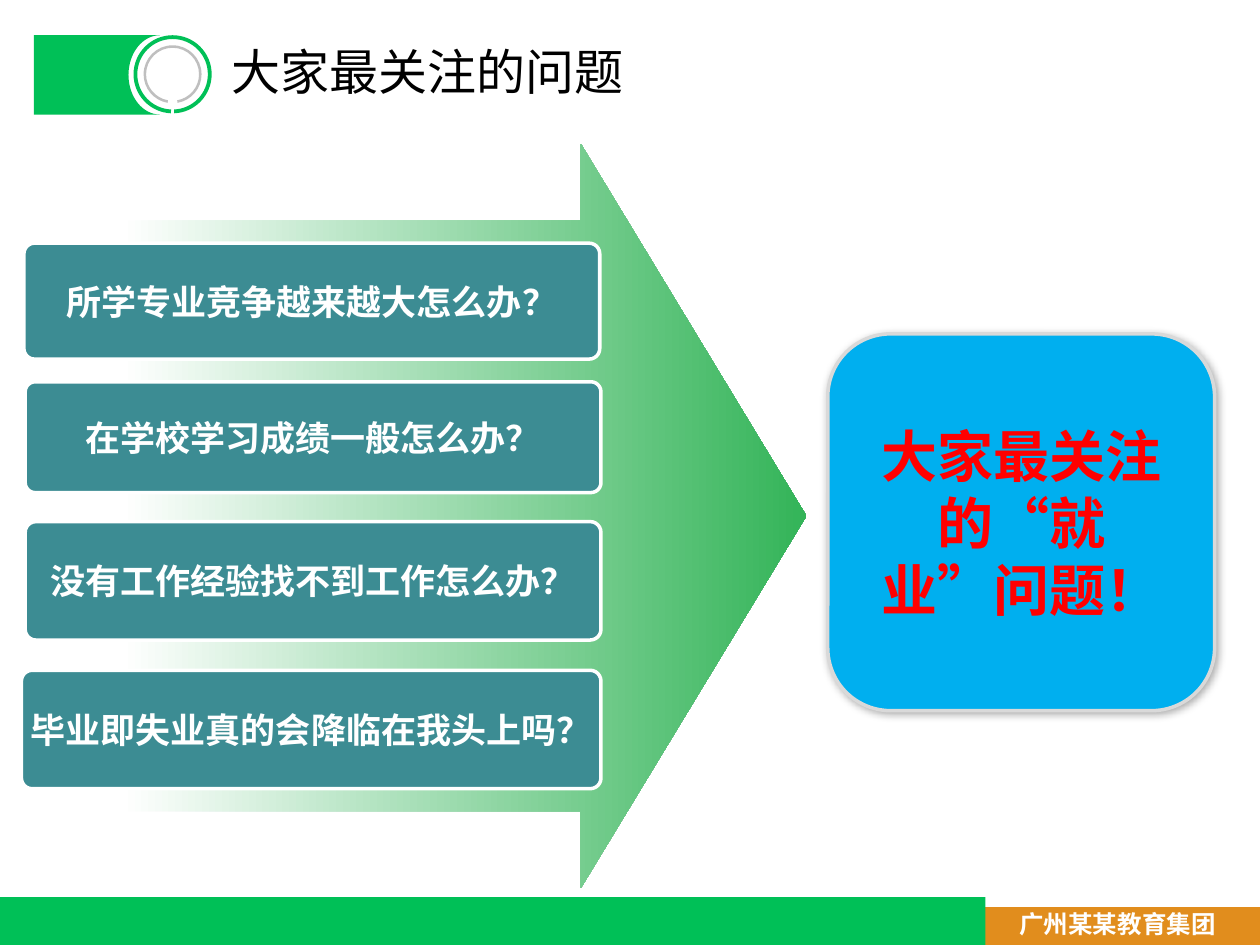
from dataclasses import dataclass
from math import cos, radians, sin, tan

from lxml.etree import Element, SubElement
from pptx import Presentation
from pptx.dml.color import RGBColor
from pptx.enum.shapes import MSO_SHAPE as Shape
from pptx.enum.text import MSO_ANCHOR as Anchor, PP_ALIGN as Align
from pptx.oxml.ns import qn
from pptx.util import Inches, Pt


@dataclass(frozen=True)
class Theme:
    font: str = "Noto Sans CJK SC"
    green: str = "00C057"
    orange: str = "E18D1D"
    teal: str = "3C8C93"
    blue: str = "00AFEF"
    red: str = "FF0000"
    white: str = "FFFFFF"
    black: str = "000000"
    ring_grey: str = "BFBFBF"
    border_grey: str = "D9D9D9"
    arrow_green: str = "33B458"
    title_size: int = 28
    question_size: int = 20
    answer_size: int = 32
    footer_size: int = 14


@dataclass(frozen=True)
class Box:
    left: float
    top: float
    width: float
    height: float

    def lengths(self) -> list:
        return [Inches(v) for v in (self.left, self.top, self.width, self.height)]


@dataclass(frozen=True)
class Question:
    text: str
    box: Box


@dataclass(frozen=True)
class Ring:
    outer: float
    inner: float
    gap: float  # half of the opening at the bottom, in degrees
    color: str


THEME = Theme()
QUESTIONS = [
    Question("所学专业竞争越来越大怎么办？", Box(0.19, 1.93, 4.57, 0.92)),
    Question("在学校学习成绩一般怎么办？", Box(0.2, 3.03, 4.57, 0.88)),
    Question("没有工作经验找不到工作怎么办？", Box(0.2, 4.14, 4.57, 0.94)),
    Question("毕业即失业真的会降临在我头上吗？", Box(0.17, 5.32, 4.6, 0.94)),
]
RING_CENTER = (1.37, 0.59)
RINGS = [
    Ring(0.31, 0.28, 2.5, THEME.green),
    Ring(0.23, 0.21, 10, THEME.ring_grey),
]


def rgb(color: str) -> RGBColor:
    return RGBColor.from_string(color)


def write(frame, text: str, size: int, color: str, bold=True, align=Align.CENTER) -> None:
    """Put one formatted paragraph into a text frame."""
    frame.vertical_anchor = Anchor.MIDDLE
    paragraph = frame.paragraphs[0]
    paragraph.text = text
    paragraph.alignment = align
    font = paragraph.font
    font.size, font.bold, font.name = Pt(size), bold, THEME.font
    font.color.rgb = rgb(color)
    properties = paragraph._p.pPr.find(qn("a:defRPr"))
    SubElement(properties, qn("a:ea"), typeface=THEME.font)


def paint(shape, fill: str, line: str = "") -> None:
    shape.shadow.inherit = False
    shape.fill.solid()
    shape.fill.fore_color.rgb = rgb(fill)
    if line:
        shape.line.color.rgb = rgb(line)
        shape.line.width = Pt(2)
    else:
        shape.line.fill.background()


def add_box(slide, kind: Shape, box: Box, fill: str, line: str = ""):
    shape = slide.shapes.add_shape(kind, *box.lengths())
    paint(shape, fill, line)
    return shape


def arc(center: tuple, radius_x: float, radius_y: float, angles: list) -> list:
    """A line to the first angle, then one curve per further angle; 90 is the bottom."""

    def point(angle: float, pull: float = 0) -> tuple:
        x, y = cos(angle) - pull * sin(angle), sin(angle) + pull * cos(angle)
        return center[0] + radius_x * x, center[1] + radius_y * y

    turns = [radians(angle) for angle in angles]
    segments = [[point(turns[0])]]
    for start, end in zip(turns, turns[1:]):
        pull = 4 / 3 * tan((end - start) / 4)
        segments.append([point(start, pull), point(end, -pull), point(end)])
    return segments


def add_outline(slide, segments: list, fill: str) -> None:
    """Each segment holds one point for a line, or two handles and a point for a curve."""
    corners = [(Inches(s[-1][0]), Inches(s[-1][1])) for s in segments]
    builder = slide.shapes.build_freeform(*corners[0])
    builder.add_line_segments(corners[1:], close=True)
    shape = builder.convert_to_shape()
    paint(shape, fill)
    lines = list(shape._element.iter(qn("a:lnTo")))
    for line, segment in zip(lines, segments[1:]):
        if len(segment) == 3:
            line.tag = qn("a:cubicBezTo")
            for index, (x, y) in enumerate(segment[:2]):
                handle = Element(qn("a:pt"), x=str(Inches(x) - shape.left), y=str(Inches(y) - shape.top))
                line.insert(index, handle)


def add_ring(slide, ring: Ring) -> None:
    angles = [90 + ring.gap, 180, 270, 360, 450 - ring.gap]
    outer = arc(RING_CENTER, ring.outer, ring.outer, angles)
    inner = arc(RING_CENTER, ring.inner, ring.inner, angles[::-1])
    add_outline(slide, outer + inner, ring.color)


def add_arrow(slide) -> None:
    arrow = add_box(slide, Shape.RIGHT_ARROW, Box(0.15, 1.14, 6.25, 5.91), THEME.white)
    arrow.adjustments[0], arrow.adjustments[1] = 0.793, 0.303
    arrow.fill.gradient()
    arrow.fill.gradient_angle = 0
    stops = ((0.13, THEME.white), (1, THEME.arrow_green))
    for stop, (position, color) in zip(arrow.fill.gradient_stops, stops):
        stop.position = position
        stop.color.rgb = rgb(color)


def add_soft_shadow(shape) -> None:
    effects = shape._element.spPr.find(qn("a:effectLst"))
    shadow = SubElement(
        effects, qn("a:outerShdw"), blurRad=str(Pt(5)), dist=str(Pt(1.4)),
        dir=str(45 * 60000), algn="tl", rotWithShape="0",
    )
    color = SubElement(shadow, qn("a:srgbClr"), val=THEME.black)
    SubElement(color, qn("a:alpha"), val="32000")


def main() -> None:
    presentation = Presentation()
    presentation.slide_width, presentation.slide_height = Inches(10), Inches(7.5)
    slide = presentation.slides.add_slide(presentation.slide_layouts[5])

    # Footer bands
    add_box(slide, Shape.RECTANGLE, Box(7.52, 7.2, 2.48, 0.3), THEME.orange)
    add_box(slide, Shape.RECTANGLE, Box(0, 7.12, 7.82, 0.38), THEME.green)
    footer = slide.shapes.add_textbox(*Box(7.99, 7.16, 1.76, 0.34).lengths())
    footer.text_frame.word_wrap = False
    write(footer.text_frame, "广州某某教育集团", THEME.footer_size, THEME.white)

    # Title with its tab and rings
    notch = arc((1.27, 0.595), 0.25, 0.315, [270, 180, 90])
    add_outline(slide, [[(0.27, 0.28)], *notch, [(0.27, 0.91)]], THEME.green)
    for ring in RINGS:
        add_ring(slide, ring)
    title = slide.shapes.title
    title.left, title.top, title.width, title.height = Box(1.74, 0.28, 6.51, 0.56).lengths()
    write(title.text_frame, "大家最关注的问题", THEME.title_size, THEME.black, False, Align.LEFT)

    # Questions on the arrow
    add_arrow(slide)
    for question in QUESTIONS:
        bar = add_box(slide, Shape.ROUNDED_RECTANGLE, question.box, THEME.teal, THEME.white)
        bar.adjustments[0] = 0.091
        bar.text_frame.word_wrap = False
        write(bar.text_frame, question.text, THEME.question_size, THEME.white)

    # Conclusion
    answer = add_box(
        slide, Shape.ROUNDED_RECTANGLE, Box(6.57, 2.65, 3.07, 2.99), THEME.blue, THEME.border_grey
    )
    add_soft_shadow(answer)
    answer.text_frame.word_wrap = True
    write(answer.text_frame, "大家最关注的“就业”问题！", THEME.answer_size, THEME.red)

    presentation.save("out.pptx")


if __name__ == "__main__":
    main()
